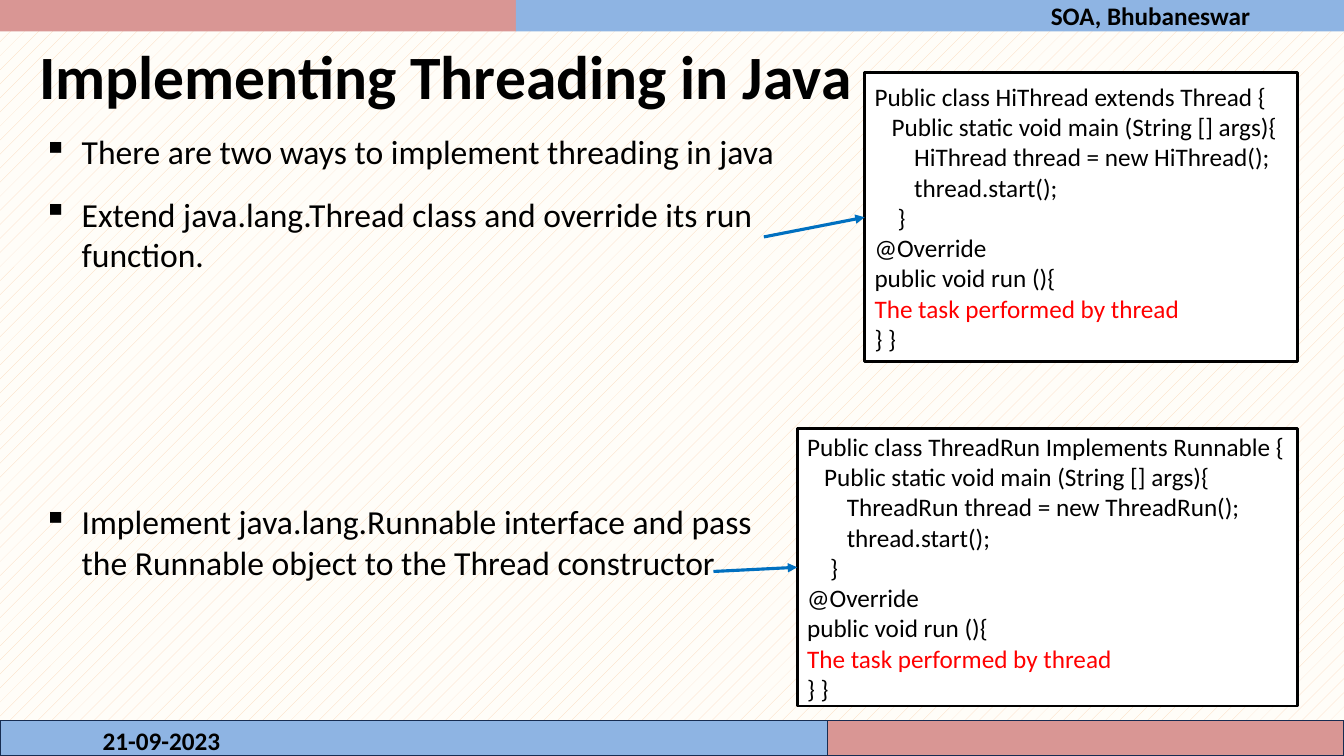
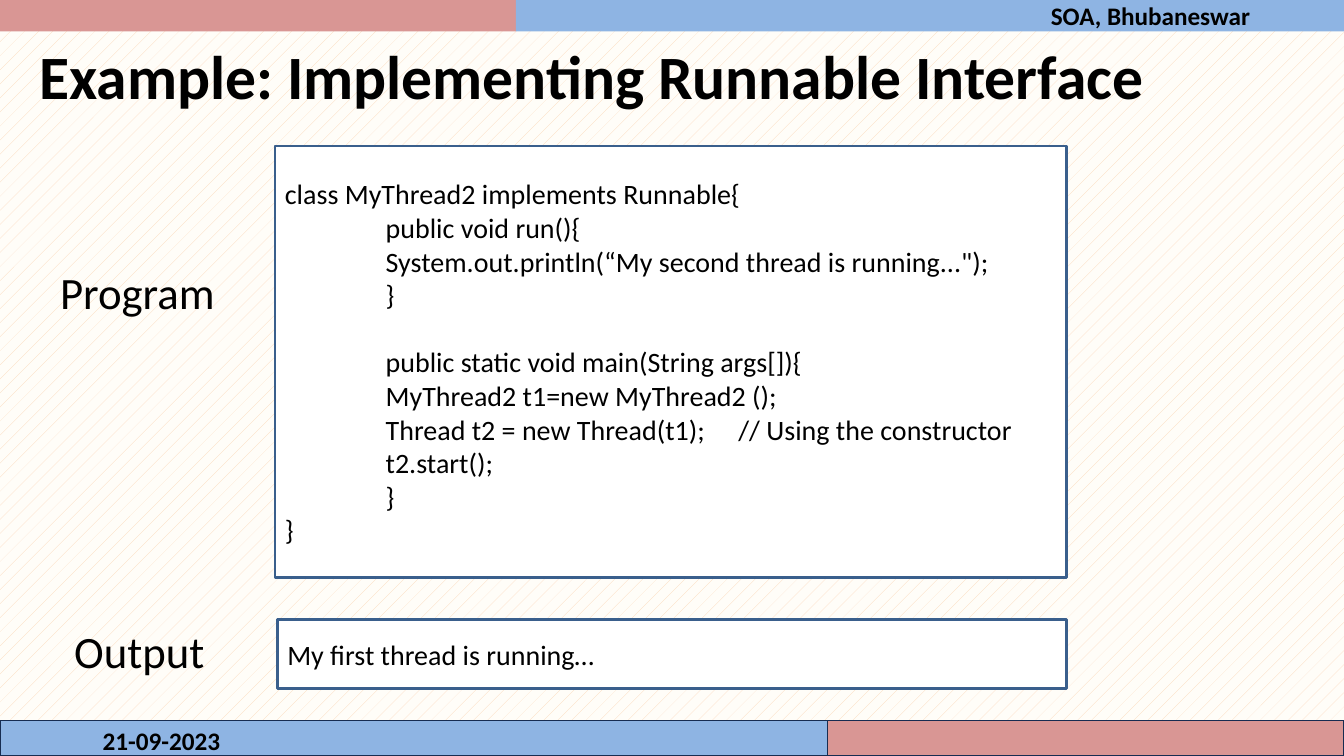
from lxml.etree import SubElement
from pptx import Presentation
from pptx.dml.color import RGBColor
from pptx.enum.dml import MSO_PATTERN
from pptx.enum.shapes import MSO_CONNECTOR, MSO_SHAPE
from pptx.enum.text import MSO_ANCHOR, PP_ALIGN
from pptx.oxml.ns import qn
from pptx.util import Cm, Pt

BLACK = RGBColor(0x00, 0x00, 0x00)
WHITE = RGBColor(0xFF, 0xFF, 0xFF)
RED = RGBColor(0xFF, 0x00, 0x00)
ARROW_BLUE = RGBColor(0x00, 0x70, 0xC0)
BAND_BLUE = RGBColor(0x8E, 0xB4, 0xE3)
BAND_ROSE = RGBColor(0xD9, 0x96, 0x94)
BAND_EDGE = RGBColor(0x17, 0x2C, 0x51)
FRAME_BLUE = RGBColor(0x3A, 0x5F, 0x8C)
CREAM = RGBColor(0xFF, 0xFD, 0xF8)
PEACH = RGBColor(0xFC, 0xD5, 0xB5)

FONT = "Calibri"
PAGE_WIDTH, PAGE_HEIGHT = 33.87, 19.05
HEADER_SPLIT, HEADER_HEIGHT = 13, 0.79
FOOTER_SPLIT, FOOTER_TOP = 20.85, 18.16
FOOTER_HEIGHT = PAGE_HEIGHT - FOOTER_TOP


def add_text(page, place, lines=(), size=18, bold=False, align=PP_ALIGN.LEFT,
             anchor=MSO_ANCHOR.TOP, fill=None, line=None, weight=2):
    """Add a text box, or a rectangle if filled; lines are (text, first-line indent in cm)."""
    place = [Cm(length) for length in place]
    if fill is None:
        box = page.shapes.add_textbox(*place)
    else:
        box = page.shapes.add_shape(MSO_SHAPE.RECTANGLE, *place)
        box.shadow.inherit = False
        box.fill.solid()
        box.fill.fore_color.rgb = fill
        if line is None:
            box.line.fill.background()
        else:
            box.line.color.rgb = line
            box.line.width = Pt(weight)
    frame = box.text_frame
    frame.word_wrap = True
    frame.vertical_anchor = anchor
    for number, (text, indent) in enumerate(lines):
        para = frame.add_paragraph() if number else frame.paragraphs[0]
        para.alignment = align
        if indent:
            para._p.get_or_add_pPr().set("indent", str(Cm(indent)))
        span = para.add_run()
        span.text = text
        span.font.name = FONT
        span.font.size = Pt(size)
        span.font.bold = bold
        span.font.color.rgb = BLACK
    return box


def add_page(deck, title):
    """Add a page with its bands, date and title."""
    page = deck.slides.add_slide(deck.slide_layouts[6])
    add_text(page, (0, 0, HEADER_SPLIT, HEADER_HEIGHT), fill=BAND_ROSE)
    header = add_text(page, (HEADER_SPLIT, 0, PAGE_WIDTH - HEADER_SPLIT, HEADER_HEIGHT),
                      [("SOA, Bhubaneswar", 0)], bold=True, align=PP_ALIGN.RIGHT,
                      anchor=MSO_ANCHOR.MIDDLE, fill=BAND_BLUE)
    header.text_frame.margin_top = header.text_frame.margin_bottom = 0
    header.text_frame.margin_right = Cm(2.36)
    add_text(page, (FOOTER_SPLIT, FOOTER_TOP, PAGE_WIDTH - FOOTER_SPLIT, FOOTER_HEIGHT),
             fill=BAND_ROSE, line=BAND_EDGE, weight=1)
    add_text(page, (0, FOOTER_TOP, FOOTER_SPLIT, FOOTER_HEIGHT),
             fill=BAND_BLUE, line=BAND_EDGE, weight=1)
    add_text(page, (2.34, FOOTER_TOP, 7.62, 1.02), [("21-09-2023", 0)], bold=True)
    add_text(page, (0.74, 0.81, 31.98, 2.16), [(title, 0)], size=44, bold=True,
             anchor=MSO_ANCHOR.MIDDLE)
    return page


# Deck and shared background
deck = Presentation()
deck.slide_width, deck.slide_height = Cm(PAGE_WIDTH), Cm(PAGE_HEIGHT)
background = deck.slide_master.background.fill
background.patterned()
background.pattern = MSO_PATTERN.PERCENT_5
background.fore_color.rgb = PEACH
background.back_color.rgb = CREAM

# Slide 1: bullets, spaced to stand beside the code
page = add_page(deck, "Implementing Threading in Java")
bullets = [
    ("There are two ways to implement threading in java", 0),
    ("Extend java.lang.Thread class and override its run function.", 16),
    ("Implement java.lang.Runnable interface and pass the Runnable object "
     "to the Thread constructor", 162),
]
body = add_text(page, (0.84, 3.18, 19.25, 14.99), [(text, -0.97) for text, gap in bullets], size=24)
for para, (text, gap) in zip(body.text_frame.paragraphs, bullets):
    para.space_before = Pt(gap)
    properties = para._p.get_or_add_pPr()
    properties.set("marL", str(Cm(0.97)))
    SubElement(properties, qn("a:buChar")).set("char", "▪")

# Slide 1: code boxes with their arrows
examples = [
    ("HiThread", "extends Thread", (21.79, 1.83, 10.92, 7.29), (19.25, 5.97)),
    ("ThreadRun", "Implements Runnable", (20.09, 10.8, 12.62, 6.99), (17.98, 14.4)),
]
for name, parent, place, start in examples:
    code = add_text(page, place, [
        (f"Public class {name} {parent} {{", 0),
        ("Public static void main (String [] args){", 0.43),
        (f"{name} thread = new {name}();", 1),
        ("thread.start();", 1),
        ("}", 0.58),
        ("@Override", 0),
        ("public void run (){", 0),
        ("The task performed by thread", 0),
        ("} }", 0),
    ], anchor=MSO_ANCHOR.MIDDLE, fill=WHITE, line=BLACK)
    code.text_frame.paragraphs[7].runs[0].font.color.rgb = RED
    left, top = Cm(start[0]), Cm(start[1])
    arrow = page.shapes.add_connector(MSO_CONNECTOR.STRAIGHT, left, top, left, top)
    arrow.end_connect(code, 1)
    arrow.line.color.rgb = ARROW_BLUE
    arrow.line.width = Pt(2.25)
    SubElement(arrow.line._get_or_add_ln(), qn("a:tailEnd")).set("type", "triangle")
    SubElement(arrow._element.spPr, qn("a:effectLst"))

# Slide 2: program
page = add_page(deck, "Example: Implementing Runnable Interface")
program = add_text(page, (6.93, 3.68, 19.94, 10.87), [
    ("class MyThread2 implements Runnable{", 0),
    ("public void run(){", 2.54),
    ("System.out.println(“My second thread is running...\");", 2.54),
    ("}", 2.54),
    ("public static void main(String args[]){", 2.54),
    ("MyThread2 t1=new MyThread2 ();", 2.54),
    ("Thread t2 = new Thread(t1);\t// Using the constructor", 2.54),
    ("t2.start();", 2.54),
    ("}", 2.54),
    ("}", 0),
], size=20, anchor=MSO_ANCHOR.MIDDLE, fill=WHITE, line=FRAME_BLUE)
program.text_frame.paragraphs[4].space_before = Pt(24)
tabs = SubElement(program.text_frame.paragraphs[6]._p.get_or_add_pPr(), qn("a:tabLst"))
comment_tab = SubElement(tabs, qn("a:tab"))
comment_tab.set("pos", str(Cm(11.06)))
comment_tab.set("algn", "l")

# Slide 2: output and labels
add_text(page, (6.99, 15.62, 19.89, 1.73), [("My first thread is running…", 0)], size=20,
         anchor=MSO_ANCHOR.MIDDLE, fill=WHITE, line=FRAME_BLUE)
for label, place in [("Program", (1.14, 6.55, 4.65, 2.16)), ("Output", (1.19, 15.6, 4.65, 1.68))]:
    add_text(page, place, [(label, 0)], size=32, align=PP_ALIGN.CENTER)

deck.save("out.pptx")
